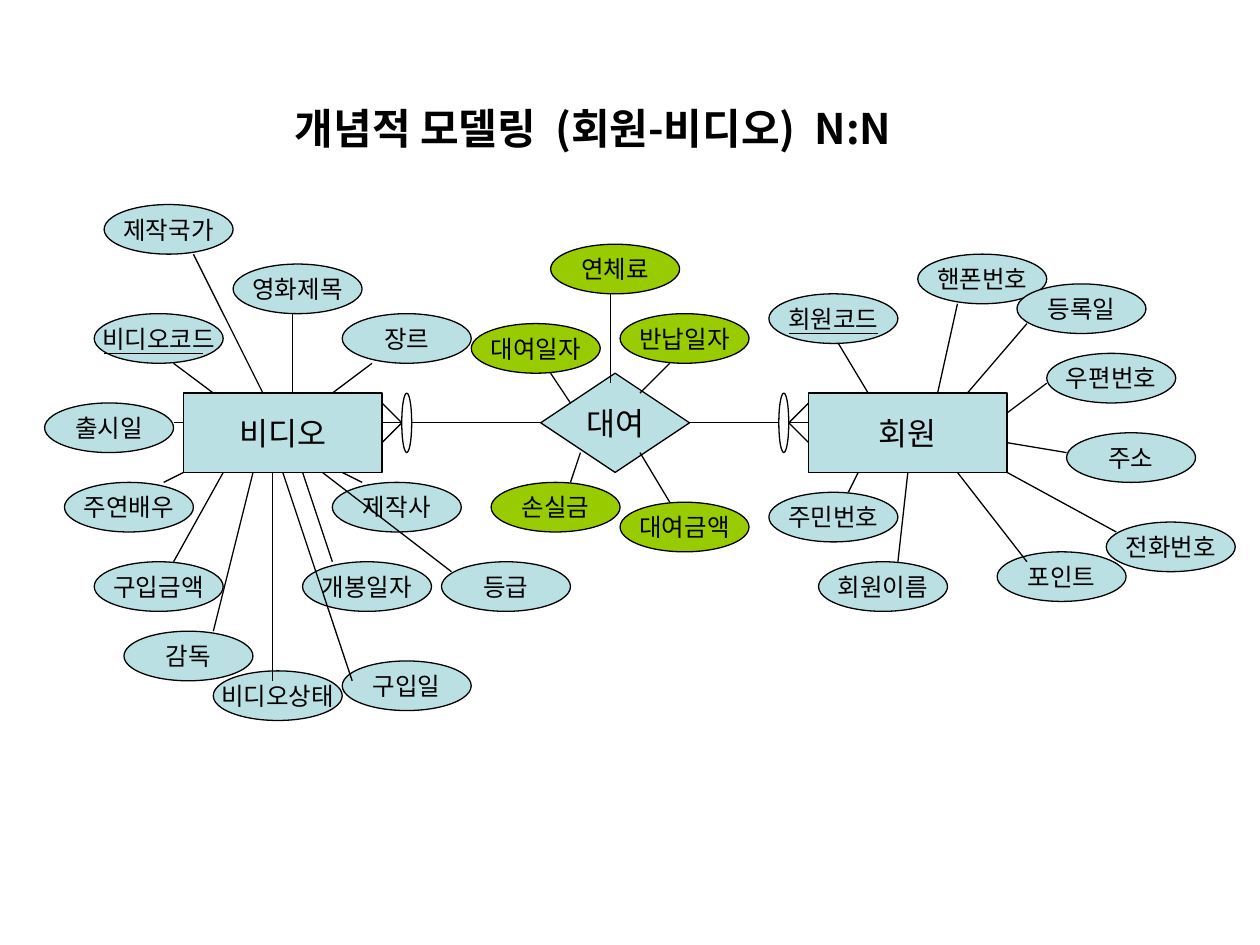
"""Build the video rental entity-relationship slide."""
import pptx
import pptx.util
import pptx.dml.color
import pptx.enum.shapes
import pptx.enum.text
import pptx.oxml.ns
import lxml.etree

Pt = pptx.util.Pt
hue = pptx.dml.color.RGBColor.from_string
kinds = pptx.enum.shapes.MSO_SHAPE
anchors = pptx.enum.text.MSO_ANCHOR
aligns = pptx.enum.text.PP_ALIGN
qn = pptx.oxml.ns.qn

FACE = "Noto Sans CJK KR"
BLACK, WHITE, BLUE, GREEN = "000000", "FFFFFF", "BBE0E3", "99CC00"
LEFT, TOP, UNIT = 25.5, 116.9, 5.67

deck = pptx.Presentation()
deck.slide_width, deck.slide_height = Pt(720), Pt(540)
slide = deck.slides.add_slide(deck.slide_layouts[5])


def write(frame, text, size, align, bold=False):
    para = frame.paragraphs[0]
    para.text = text
    para.alignment = align
    font = para.font
    font.size, font.bold = Pt(size), bold
    font.color.rgb = hue(BLACK)
    font.name = FACE
    props = para._p.pPr.find(qn("a:defRPr"))
    lxml.etree.SubElement(props, qn("a:ea")).set("typeface", FACE)


def draw(kind, col, row, wide, high, fill, text="", size=14):
    shape = slide.shapes.add_shape(
        kind, Pt(LEFT + col * UNIT), Pt(TOP + row * UNIT),
        Pt(wide * UNIT), Pt(high * UNIT))
    shape.shadow.inherit = False
    shape.fill.solid()
    shape.fill.fore_color.rgb = hue(fill)
    shape.line.color.rgb = hue(BLACK)
    shape.line.width = Pt(0.75)
    if text:
        shape.text_frame.word_wrap = False
        shape.text_frame.vertical_anchor = anchors.MIDDLE
        write(shape.text_frame, text, size, aligns.CENTER)


title = slide.shapes.title
title.left, title.top, title.width, title.height = Pt(161.3), Pt(54.7), Pt(396.7), Pt(36)
title.text_frame.auto_size = pptx.enum.text.MSO_AUTO_SIZE.NONE
title.text_frame.vertical_anchor = anchors.TOP
write(title.text_frame, "개념적 모델링  (회원-비디오)  N:N", 24, aligns.LEFT, True)
title.text_frame.paragraphs[0].space_before = Pt(15)

draw(kinds.RECTANGLE, 14, 19, 20, 8, BLUE, "비디오", 18)
draw(kinds.RECTANGLE, 77, 19, 20, 8, BLUE, "회원", 18)
draw(kinds.FLOWCHART_DECISION, 50, 17, 15, 10, BLUE, "대여", 18)

fields = {
    BLUE: [
        ("장르", 30, 11), ("제작사", 29, 28), ("등급", 40, 36),
        ("구입일", 30, 46), ("비디오상태", 17, 47), ("감독", 8, 43),
        ("구입금액", 5, 36), ("주연배우", 2, 28), ("출시일", 0, 20),
        ("비디오코드", 5, 11), ("제작국가", 6, 0), ("영화제목", 19, 6),
        ("개봉일자", 26, 36), ("회원코드", 73, 9), ("주민번호", 73, 29),
        ("포인트", 96, 35), ("주소", 103, 23), ("우편번호", 101, 15),
        ("핸폰번호", 88, 5), ("회원이름", 78, 36), ("등록일", 98, 8),
        ("전화번호", 107, 32),
    ],
    GREEN: [
        ("대여일자", 43, 12), ("반납일자", 58, 11), ("연체료", 51, 4),
        ("대여금액", 58, 30), ("손실금", 45, 28),
    ],
}
for fill, group in fields.items():
    for text, col, row in group:
        draw(kinds.OVAL, col, row, 13, 5, fill, text)

joins = [(34, 22, 50, 22), (65, 22, 77, 22)]
feet = [(34, 20, 36, 22), (34, 24, 36, 22), (75, 22, 77, 20), (75, 22, 77, 24)]
keys = [(6, 15, 16, 15), (75, 13, 84, 13)]
video = [
    (25, 11, 25, 19), (33, 16, 29, 19), (15, 5, 22, 19), (13, 16, 17, 19),
    (13, 22, 14, 22), (12, 28, 14, 27), (13, 36, 18, 27), (21, 27, 17, 43),
    (23, 27, 23, 48), (26, 27, 29, 36), (30, 27, 32, 28), (28, 27, 41, 37),
    (24, 27, 31, 48),
]
rental = [
    (51, 17, 53, 20), (57, 9, 57, 18), (63, 16, 60, 19), (54, 25, 53, 28),
    (60, 25, 63, 30),
]
member = [
    (80, 14, 83, 19), (92, 10, 90, 19), (99, 12, 93, 19), (101, 18, 97, 21),
    (103, 25, 97, 24), (82, 27, 81, 29), (87, 27, 86, 36), (92, 27, 99, 36),
    (97, 27, 108, 33),
]
for x1, y1, x2, y2 in joins + feet + keys + video + rental + member:
    line = slide.shapes.add_connector(
        pptx.enum.shapes.MSO_CONNECTOR.STRAIGHT,
        Pt(LEFT + x1 * UNIT), Pt(TOP + y1 * UNIT),
        Pt(LEFT + x2 * UNIT), Pt(TOP + y2 * UNIT))
    line.line.color.rgb = hue(BLACK)
    line.line.width = Pt(0.75)
    lxml.etree.SubElement(line._element.spPr, qn("a:effectLst"))

for col in (36, 74):
    draw(kinds.OVAL, col, 19, 1, 6, WHITE)

deck.save("out.pptx")
